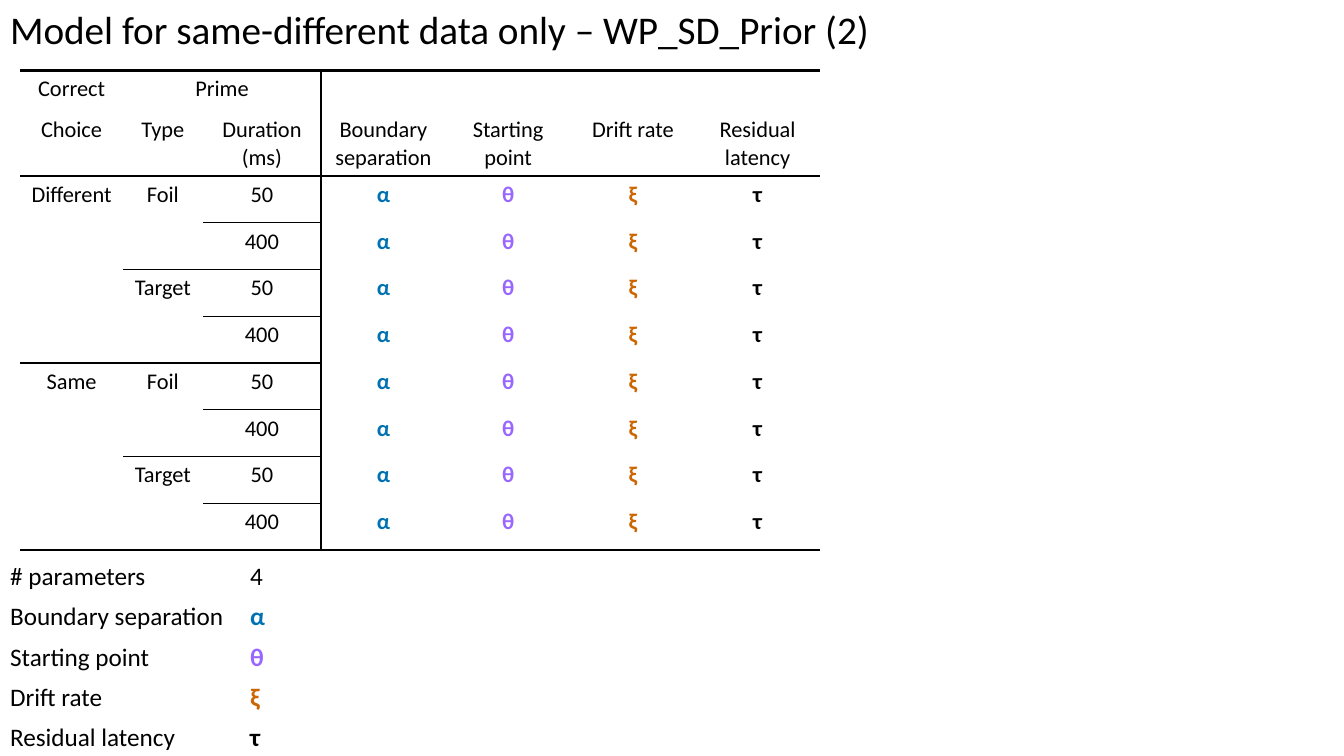
from lxml.etree import SubElement
from pptx import Presentation
from pptx.dml.color import RGBColor
from pptx.enum.text import MSO_ANCHOR, MSO_AUTO_SIZE, PP_ALIGN
from pptx.oxml.ns import qn
from pptx.util import Pt

COLORS = {"text": "000000", "background": "FFFFFF", "α": "0072B2", "θ": "9966FF", "ξ": "CC6600"}
FONT = "Calibri"
NO_STYLE_NO_GRID = "{2D5ABB26-0587-4C30-8999-92F81FD0307C}"
TITLE = "Model for same-different data only – WP_SD_Prior (2)"

PARAMETERS = {
    "α": "Boundary separation",
    "θ": "Starting point",
    "ξ": "Drift rate",
    "τ": "Residual latency",
}
MODEL_HEADERS = [
    ["Correct", "Prime", "", "", "", "", ""],
    ["Choice", "Type", "Duration (ms)", "Boundary\nseparation", "Starting\npoint",
     "Drift rate", "Residual\nlatency"],
]
MODEL_WIDTHS = [73.5, 57, 84.5] + [89.1] * 4
MODEL_HEIGHTS = [29.2, 46.1] + [33.4] * 8
CONDITION_COLUMNS = 3
LAST_ROW = len(MODEL_HEIGHTS) - 1
THICK, THIN = 2.25, 1


def format_paragraph(paragraph, size, align=PP_ALIGN.LEFT):
    paragraph.alignment = align
    paragraph.font.size = Pt(size)
    paragraph.font.name = FONT
    for run in paragraph.runs:
        run.font.size = Pt(size)
        run.font.name = FONT
        run.font.bold = run.text in PARAMETERS
        run.font.color.rgb = RGBColor.from_string(COLORS.get(run.text, COLORS["text"]))


def add_title(slide, text):
    title = slide.shapes.title
    title.left, title.top, title.width, title.height = Pt(0), Pt(0), Pt(635), Pt(41.2)
    frame = title.text_frame
    frame.text = text
    frame.word_wrap = False
    frame.auto_size = MSO_AUTO_SIZE.SHAPE_TO_FIT_TEXT
    frame.vertical_anchor = MSO_ANCHOR.TOP
    format_paragraph(frame.paragraphs[0], 28)


def add_plain_table(slide, rows, left, top, widths, heights, size, align):
    """Add an unstyled table and fill it with the rows of text."""
    frame = slide.shapes.add_table(len(rows), len(widths), Pt(left), Pt(top),
                                   Pt(sum(widths)), Pt(sum(heights)))
    table = frame.table
    table.first_row = table.horz_banding = False
    table._tbl.tblPr.find(qn("a:tableStyleId")).text = NO_STYLE_NO_GRID
    for column, width in zip(table.columns, widths):
        column.width = Pt(width)
    for row, height, texts in zip(table.rows, heights, rows):
        row.height = Pt(height)
        for cell, text in zip(row.cells, texts):
            cell.text = text
            for paragraph in cell.text_frame.paragraphs:
                format_paragraph(paragraph, size, align)
    return table


def set_borders(cell, **widths):
    """Draw the given sides, with widths in points; the other sides stay empty."""
    properties = cell._tc.get_or_add_tcPr()
    for side in "LRTB":
        width = widths.get(side, 0)
        line = SubElement(properties, qn(f"a:ln{side}"), w=str(Pt(width)))
        if width:
            fill = SubElement(line, qn("a:solidFill"))
            SubElement(fill, qn("a:srgbClr"), val=COLORS["text"])
        else:
            SubElement(line, qn("a:noFill"))


def rule_below(row, column):
    """Width of the horizontal rule under a cell of the model table."""
    if row < 0:
        return THICK
    if row in (1, LAST_ROW):
        return THIN
    if row < 1 or column >= CONDITION_COLUMNS:
        return 0
    conditions_done = row - 1
    first_column = 0 if conditions_done % 4 == 0 else 1 if conditions_done % 2 == 0 else 2
    return THIN if column >= first_column else 0


def model_rows():
    rows = list(MODEL_HEADERS)
    for choice in ("Different", "Same"):
        for prime in ("Foil", "Target"):
            for duration in ("50", "400"):
                starts_prime = duration == "50"
                starts_choice = starts_prime and prime == "Foil"
                rows.append([choice if starts_choice else "", prime if starts_prime else "",
                             duration, *PARAMETERS])
    return rows


def add_model_table(slide):
    table = add_plain_table(slide, model_rows(), 14.4, 50.4, MODEL_WIDTHS, MODEL_HEIGHTS,
                            16, PP_ALIGN.CENTER)
    for row in range(len(MODEL_HEIGHTS)):
        for column in range(len(MODEL_WIDTHS)):
            cell = table.cell(row, column)
            set_borders(cell,
                        L=THIN if column == CONDITION_COLUMNS else 0,
                        R=THIN if column == CONDITION_COLUMNS - 1 else 0,
                        T=rule_below(row - 1, column),
                        B=rule_below(row, column))
            cell.fill.background()
    prime_header = table.cell(0, 1)
    prime_header.merge(table.cell(0, 2))
    set_merged_right(prime_header)
    table.cell(0, 3).merge(table.cell(0, 6))


def set_merged_right(cell):
    """Give a merged cell the vertical rule of its last column."""
    properties = cell._tc.tcPr
    fill = properties[-1]
    for child in list(properties):
        properties.remove(child)
    set_borders(cell, R=THIN, T=THICK)
    properties.append(fill)


def add_parameter_table(slide):
    rows = [["# parameters", str(len(PARAMETERS))]]
    rows += [[name, symbol] for symbol, name in PARAMETERS.items()]
    table = add_plain_table(slide, rows, 0, 397.5, [171.5, 780], [28.8] * len(rows),
                            18, PP_ALIGN.LEFT)
    for cell in table.iter_cells():
        cell.fill.solid()
        cell.fill.fore_color.rgb = RGBColor.from_string(COLORS["background"])


def main():
    deck = Presentation()
    deck.slide_width, deck.slide_height = Pt(960), Pt(540)
    slide = deck.slides.add_slide(deck.slide_layouts[5])
    add_title(slide, TITLE)
    add_model_table(slide)
    add_parameter_table(slide)
    deck.save("out.pptx")


if __name__ == "__main__":
    main()
